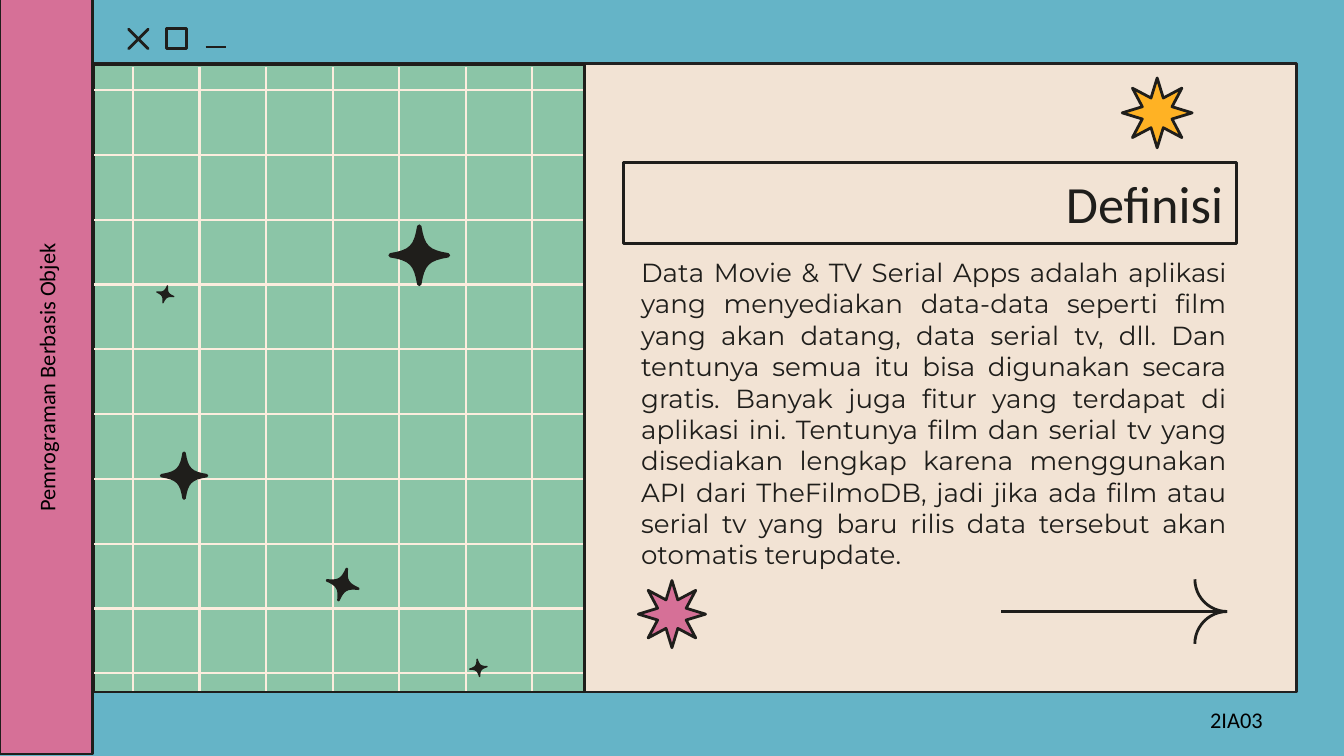
from math import cos, radians, sin

from lxml import etree
from pptx import Presentation
from pptx.dml.color import RGBColor
from pptx.enum.shapes import MSO_CONNECTOR, MSO_SHAPE
from pptx.enum.text import MSO_ANCHOR, MSO_AUTO_SIZE, PP_ALIGN
from pptx.oxml.ns import qn
from pptx.util import Inches, Pt

INK, PINK, CREAM = "1F1E1B", "D67097", "FCEDDE"


def color(value):
    return RGBColor.from_string(value)


def style(sp, fill=None, line=INK):
    if fill:
        sp.fill.solid()
        sp.fill.fore_color.rgb = color(fill)
    else:
        sp.fill.background()
    if line:
        sp.line.color.rgb = color(line)
        sp.line.width = Pt(1.5)
    else:
        sp.line.fill.background()


def add_shape(s, kind, x, y, w, h, fill=None, line=INK):
    sp = s.shapes.add_shape(kind, Inches(x), Inches(y), Inches(w), Inches(h))
    sp.shadow.inherit = False
    style(sp, fill, line)
    return sp


def add_line(s, x1, y1, x2, y2, line=INK, width=1.5):
    cxn = s.shapes.add_connector(
        MSO_CONNECTOR.STRAIGHT, Inches(x1), Inches(y1), Inches(x2), Inches(y2))
    cxn.line.color.rgb = color(line)
    cxn.line.width = Pt(width)
    etree.SubElement(cxn._element.spPr, qn("a:effectLst"))


def write(sp, text, size, font, align, ink=INK):
    tf = sp.text_frame
    tf.word_wrap = True
    tf.auto_size = MSO_AUTO_SIZE.NONE
    tf.vertical_anchor = MSO_ANCHOR.MIDDLE
    tf.margin_left = tf.margin_right = Inches(0.1)
    tf.margin_top = tf.margin_bottom = Inches(0.1)
    p = tf.paragraphs[0]
    p.alignment = align
    p.space_before = Pt(0)
    r = p.add_run()
    r.text = text
    r.font.size = Pt(size)
    r.font.name = font
    r.font.color.rgb = color(ink)


def add_label(s, text, x, y, w, h, rotation=0):
    sp = s.shapes.add_textbox(Inches(x), Inches(y), Inches(w), Inches(h))
    sp.rotation = rotation
    write(sp, text, 12, "Calibri", PP_ALIGN.CENTER, "000000")


def fill_placeholder(s, sp, x, y, w, h, text, size, font, align):
    s.shapes._spTree.append(sp._element)
    sp.left, sp.top, sp.width, sp.height = Inches(x), Inches(y), Inches(w), Inches(h)
    write(sp, text, size, font, align)


def window(s, x, y, w, h):
    add_shape(s, MSO_SHAPE.RECTANGLE, x, y, w, h, "F2E3D4", "212121")
    cross = add_shape(s, MSO_SHAPE.MATH_MULTIPLY, x + 0.2, y - 0.32, 0.28, 0.28)
    cross.adjustments[0] = 0
    add_shape(s, MSO_SHAPE.RECTANGLE, x + 0.55, y - 0.26, 0.15, 0.15)
    add_line(s, x + 0.84, y - 0.12, x + 0.99, y - 0.12)


def sidebar(s, x, y, w, h):
    add_shape(s, MSO_SHAPE.RECTANGLE, x, y, w, h, PINK)
    add_label(s, "Pemrograman Berbasis Objek", x - 1.45, y + 2.56, 3.59, 0.52, 270)


def sparkle(s, cx, cy, radius, tilt):
    curve = [(0.07, -0.95), (0.17, -0.31), (0.31, -0.17), (0.95, -0.07)]
    arm = [(0, -1)]
    for i in range(9):
        t = i / 8
        weights = ((1 - t) ** 3, 3 * t * (1 - t) ** 2, 3 * t * t * (1 - t), t ** 3)
        arm.append(tuple(sum(k * pt[axis] for k, pt in zip(weights, curve))
                         for axis in (0, 1)))
    points = []
    for quarter in range(4):
        a = radians(tilt + 90 * quarter)
        points += [(Inches(cx + radius * (px * cos(a) - py * sin(a))),
                    Inches(cy + radius * (px * sin(a) + py * cos(a))))
                   for px, py in arm]
    builder = s.shapes.build_freeform(*points[0])
    builder.add_line_segments(points[1:], close=True)
    sp = builder.convert_to_shape()
    sp.shadow.inherit = False
    style(sp, INK, None)


def starry_grid(s, x, y, w, h):
    add_shape(s, MSO_SHAPE.RECTANGLE, x, y, w, h, "8BC5A7")
    for row in range(10):
        ly = y + 0.19 + row * 4.34 / 9
        add_line(s, x, ly, x + w - 0.01, ly, CREAM, 1.12)
    for col in range(7):
        lx = x + 0.29 + col * 2.97 / 6
        add_line(s, lx, y + 0.02, lx, y + h - 0.01, CREAM, 1.12)
    for dx, dy, radius, tilt in [(0.67, 3.06, 0.18, 0), (2.42, 1.42, 0.23, 0),
                                 (1.85, 3.87, 0.13, 15), (0.53, 1.71, 0.07, 15),
                                 (2.86, 4.49, 0.07, -8)]:
        sparkle(s, x + dx, y + dy, radius, tilt)


def arrow(s, x, y, w, h):
    tip, mid = x + w, y + h / 2
    add_line(s, x, mid, tip, mid)
    for top, rotation in [(mid, 270), (mid - h, 180)]:
        sp = add_shape(s, MSO_SHAPE.ARC, tip - h / 2, top, h, h)
        sp.rotation = rotation


def definition(s, x, y, w, h):
    title = s.shapes.title
    style(title)
    fill_placeholder(s, title, x, y + 0.63, w, 0.6, "Definisi", 28, "Calibri",
                     PP_ALIGN.RIGHT)
    text = ("Data Movie & TV Serial Apps adalah aplikasi yang menyediakan data-data "
            "seperti film yang akan datang, data serial tv, dll. Dan tentunya semua "
            "itu bisa digunakan secara gratis. Banyak juga fitur yang terdapat di "
            "aplikasi ini. Tentunya film dan serial tv yang disediakan lengkap karena "
            "menggunakan API dari TheFilmoDB, jadi jika ada film atau serial tv yang "
            "baru rilis data tersebut akan otomatis terupdate.")
    fill_placeholder(s, s.placeholders[1], x + 0.03, y + 1.33, w, 2.33, text, 14,
                     "Montserrat", PP_ALIGN.JUSTIFY)
    arrow(s, x + 2.81, y + h - 0.75, 1.68, 0.48)
    for dx, dy, size, fill in [(3.71, 0, 0.52, "FFB224"), (0.11, 3.74, 0.5, PINK)]:
        star = add_shape(s, MSO_SHAPE.STAR_8_POINT, x + dx, y + dy, size, size, fill)
        star.adjustments[0] = 0.23


def main():
    prs = Presentation()
    prs.slide_width = Inches(10)
    prs.slide_height = prs.slide_width * 9 // 16
    s = prs.slides.add_slide(prs.slide_layouts[0])
    s.background.fill.solid()
    s.background.fill.fore_color.rgb = color("65B4C7")
    window(s, 0.69, 0.47, 8.96, 4.68)
    sidebar(s, 0, -0.01, 0.69, 5.62)
    starry_grid(s, 0.7, 0.48, 3.65, 4.67)
    definition(s, 4.64, 0.58, 4.56, 4.48)
    add_label(s, "2IA03", 8.73, 5.19, 0.94, 0.32)
    prs.save("out.pptx")


if __name__ == "__main__":
    main()
